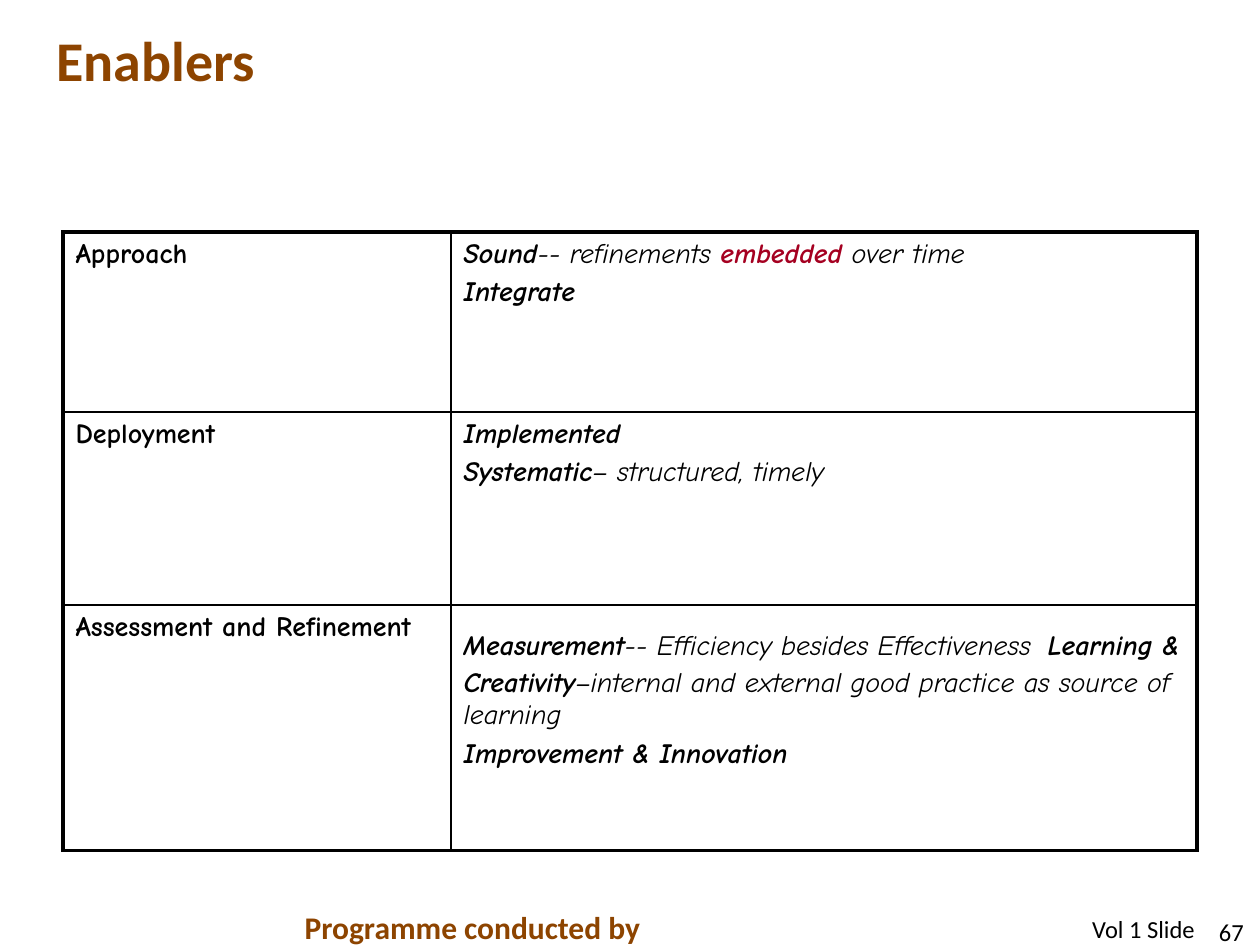
from lxml.etree import SubElement
from pptx import Presentation
from pptx.dml.color import RGBColor
from pptx.enum.text import MSO_ANCHOR, MSO_AUTO_SIZE, PP_ALIGN
from pptx.oxml import parse_xml
from pptx.oxml.ns import nsdecls, qn
from pptx.util import Pt

BLACK, BROWN, RED = "000000", "8D4400", "A50021"
THIN, THICK = 1, 2.25
COLUMNS = [221.8, 426.2]
ROWS = [103, 110.2, 140.4]

# Each run is (text, bold, optional colour, optional size)
ENABLERS = [
    ("Approach", PP_ALIGN.LEFT, [
        [("Sound", True), ("-- refinements ", False),
         ("embedded", True, RED), (" over time", False)],
        [("Integrate", True)],
    ]),
    ("Deployment", PP_ALIGN.JUSTIFY, [
        [("Implemented", True)],
        [("Systematic", True), ("– structured, timely", False)],
    ]),
    ("Assessment and Refinement", PP_ALIGN.LEFT, [
        [("Measurement", True), ("-- Efficiency besides Effectiveness", False),
         (" ", False, BLACK, 28), ("Learning & Creativity", True),
         ("–internal and external good practice as source of learning", False)],
        [("Improvement & Innovation", True)],
    ]),
]


def rgb(value):
    return RGBColor.from_string(value)


def set_font(font, size, color, bold=False, name="Calibri"):
    font.name, font.size, font.bold = name, Pt(size), bold
    font.color.rgb = rgb(color)


def place(sp, left, top, width, height):
    sp.left, sp.top, sp.width, sp.height = map(Pt, (left, top, width, height))


def fill_text(sp, text, size, color, bold=False, align=PP_ALIGN.LEFT,
              flush_bottom=False):
    """Write one line; flush_bottom drops the margins and anchors it low."""
    tf = sp.text_frame
    tf.word_wrap = True
    tf.auto_size = MSO_AUTO_SIZE.SHAPE_TO_FIT_TEXT
    if flush_bottom:
        tf.margin_left = tf.margin_top = tf.margin_right = tf.margin_bottom = 0
        tf.vertical_anchor = MSO_ANCHOR.BOTTOM
    p = tf.paragraphs[0]
    p.text = text
    p.alignment = align
    set_font(p.font, size, color, bold)


def add_label(s, box, text, size, color, **options):
    fill_text(s.shapes.add_textbox(*map(Pt, box)), text, size, color, **options)


def set_borders(cell, widths):
    """Set left, right, top and bottom lines, which must precede the fill."""
    tc_pr = cell._tc.get_or_add_tcPr()
    for i, (side, width) in enumerate(zip("LRTB", widths)):
        ln = parse_xml(f'<a:ln{side} {nsdecls("a")} w="{Pt(width)}"/>')
        fill = SubElement(ln, qn("a:solidFill"))
        SubElement(fill, qn("a:srgbClr"), val=BLACK)
        tc_pr.insert(i, ln)


def add_run(p, text, bold, color=BLACK, size=16, italic=True):
    r = p.add_run()
    r.text = text
    set_font(r.font, size, color, bold, "Comic Neue")
    r.font.italic = italic and size == 16


def fill_cell(cell, paragraphs, align=PP_ALIGN.LEFT, italic=True):
    cell.fill.background()
    tf = cell.text_frame
    for i, runs in enumerate(paragraphs):
        p = tf.add_paragraph() if i else tf.paragraphs[0]
        p.alignment = align
        if i:
            p.space_before = Pt(3.5)
        for run in runs:
            add_run(p, *run, italic=italic)


def add_enablers_table(s):
    frame = s.shapes.add_table(len(ROWS), len(COLUMNS), Pt(36), Pt(132.5),
                               Pt(sum(COLUMNS)), Pt(sum(ROWS)))
    table = frame.table
    table.first_row = table.horz_banding = False
    for column, width in zip(table.columns, COLUMNS):
        column.width = Pt(width)
    for i, (name, align, paragraphs) in enumerate(ENABLERS):
        table.rows[i].height = Pt(ROWS[i])
        label, detail = table.cell(i, 0), table.cell(i, 1)
        fill_cell(label, [[(name, True)]], italic=False)
        fill_cell(detail, paragraphs, align)
        top = THIN if i else THICK
        bottom = THICK if i == len(ROWS) - 1 else THIN
        set_borders(label, (THICK, THIN, top, bottom))
        set_borders(detail, (THIN, THICK, top, bottom))


def main():
    prs = Presentation()
    prs.slide_width, prs.slide_height = Pt(720), Pt(540)
    s = prs.slides.add_slide(prs.slide_layouts[5])

    title = s.shapes.title
    place(title, 32.4, 14.4, 173.5, 38.9)
    fill_text(title, "Enablers", 32, BROWN, bold=True, flush_bottom=True)

    add_enablers_table(s)

    add_label(s, (167, 515.5, 208, 29), "Programme conducted by", 18, BROWN,
              bold=True)
    add_label(s, (617, 519, 74, 24.5), "Vol 1 Slide", 14, BLACK)
    add_label(s, (683.3, 523.4, 27.4, 17.3), "67", 14, BLACK,
              align=PP_ALIGN.RIGHT, flush_bottom=True)

    prs.save("out.pptx")


if __name__ == "__main__":
    main()
